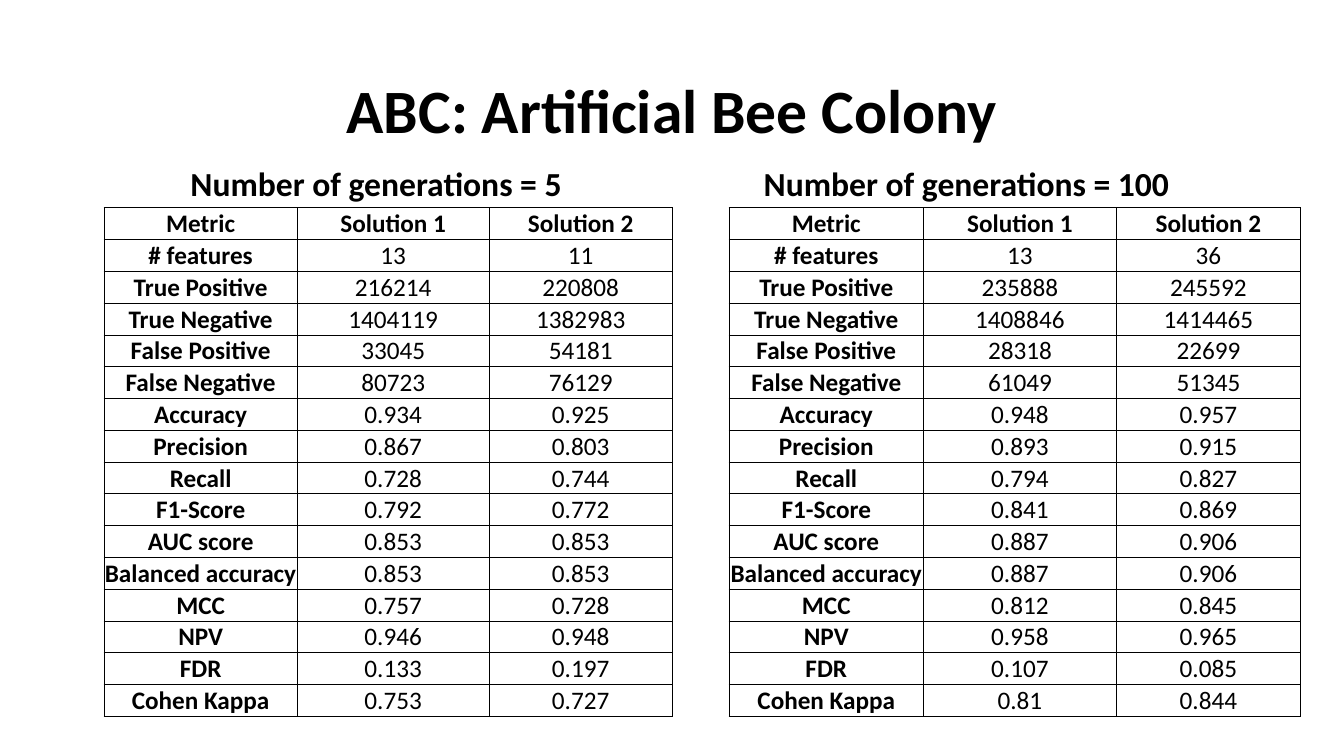
from lxml.etree import SubElement
from pptx import Presentation
from pptx.dml.color import RGBColor
from pptx.enum.text import MSO_ANCHOR, MSO_AUTO_SIZE, PP_ALIGN
from pptx.oxml.ns import qn
from pptx.util import Inches, Pt

METRICS = [
    "# features", "True Positive", "True Negative", "False Positive",
    "False Negative", "Accuracy", "Precision", "Recall", "F1-Score",
    "AUC score", "Balanced accuracy", "MCC", "NPV", "FDR", "Cohen Kappa",
]
FIVE_GENERATIONS = [
    "13 216214 1404119 33045 80723 0.934 0.867 0.728 0.792 0.853 0.853 0.757 0.946 0.133 0.753",
    "11 220808 1382983 54181 76129 0.925 0.803 0.744 0.772 0.853 0.853 0.728 0.948 0.197 0.727",
]
HUNDRED_GENERATIONS = [
    "13 235888 1408846 28318 61049 0.948 0.893 0.794 0.841 0.887 0.887 0.812 0.958 0.107 0.81",
    "36 245592 1414465 22699 51345 0.957 0.915 0.827 0.869 0.906 0.906 0.845 0.965 0.085 0.844",
]


def color(hex_string):
    return RGBColor.from_string(hex_string)


class ResultsPage:
    """Holds the style and the page; lengths are percentages of the page."""

    font_name = "Calibri"
    ink = "000000"
    column_weights = [1.92, 1.9, 1.82]

    def __init__(self, deck, layout):
        self.deck = deck
        self.page = deck.slides.add_slide(layout)

    def across(self, share):
        return round(self.deck.slide_width * share / 100)

    def down(self, share):
        return round(self.deck.slide_height * share / 100)

    def area(self, left, top, width, height):
        return self.across(left), self.down(top), self.across(width), self.down(height)

    def fill_text(self, frame, text, size, bold):
        frame.text = text
        para = frame.paragraphs[0]
        para.alignment = PP_ALIGN.CENTER
        font = para.runs[0].font
        font.name, font.size, font.bold = self.font_name, Pt(size), bold
        font.color.rgb = color(self.ink)
        return para

    def heading(self, index, area, text, size, anchor, line_spacing):
        box = self.page.placeholders[index]
        box.left, box.top, box.width, box.height = self.area(*area)
        frame = box.text_frame
        para = self.fill_text(frame, text, size, True)
        para.line_spacing = line_spacing
        para.space_before = Pt(0)
        frame.word_wrap = True
        frame.auto_size = MSO_AUTO_SIZE.NONE
        frame.vertical_anchor = anchor

    def border(self, cell):
        properties = cell._tc.get_or_add_tcPr()
        for side in ("a:lnL", "a:lnR", "a:lnT", "a:lnB"):
            line = SubElement(properties, qn(side), w=str(Pt(0.5)))
            fill = SubElement(line, qn("a:solidFill"))
            SubElement(fill, qn("a:srgbClr"), val=self.ink)

    def table(self, area, rows):
        left, top, width, height = self.area(*area)
        grid = self.page.shapes.add_table(
            len(rows), len(rows[0]), left, top, width, height).table
        grid.first_row = grid.horz_banding = False
        for column, weight in zip(grid.columns, self.column_weights):
            column.width = round(width * weight / sum(self.column_weights))
        for row_number, values in enumerate(rows):
            for column_number, value in enumerate(values):
                cell = grid.cell(row_number, column_number)
                cell.margin_left = cell.margin_right = cell.margin_top = Inches(0.01)
                cell.margin_bottom = 0
                is_header = row_number == 0
                cell.vertical_anchor = MSO_ANCHOR.BOTTOM if is_header else MSO_ANCHOR.MIDDLE
                self.fill_text(cell.text_frame, value, 18, is_header or column_number == 0)
                self.border(cell)
                cell.fill.background()

    def remove_empty_placeholders(self):
        for box in list(self.page.placeholders):
            if not box.text_frame.text:
                box.element.getparent().remove(box.element)


def main():
    deck = Presentation()
    deck.slide_width, deck.slide_height = Inches(13.33), Inches(7.5)
    results = ResultsPage(deck, deck.slide_layouts.get_by_name("Comparison"))

    # Title
    results.heading(0, (6.9, 5.33, 86.27, 19.33), "ABC: Artificial Bee Colony",
                    44, MSO_ANCHOR.MIDDLE, 0.9)

    # One heading and table per number of generations
    panels = [
        (1, 5, 6.83, 7.73, 42.31, FIVE_GENERATIONS),
        (3, 100, 50.64, 54.24, 42.54, HUNDRED_GENERATIONS),
    ]
    for index, generations, heading_left, table_left, width, solutions in panels:
        results.heading(index, (heading_left, 21.47, width, 6),
                        f"Number of generations = {generations}",
                        24, MSO_ANCHOR.BOTTOM, 0.8)
        columns = [solution.split() for solution in solutions]
        rows = [("Metric", "Solution 1", "Solution 2"), *zip(METRICS, *columns)]
        results.table((table_left, 27.47, width, 65.47), rows)

    results.remove_empty_placeholders()
    deck.save("out.pptx")


if __name__ == "__main__":
    main()
